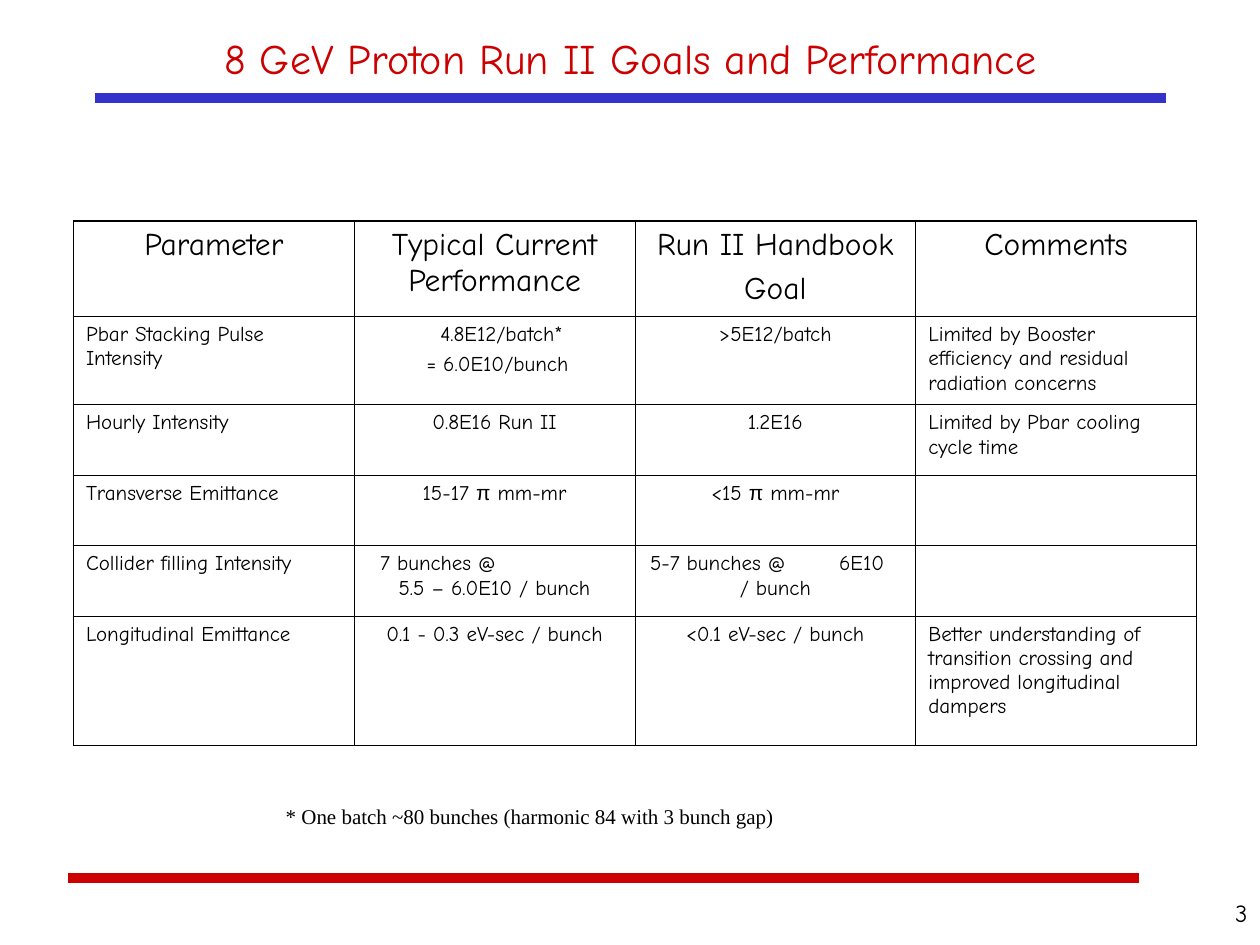
from dataclasses import dataclass

from lxml.etree import SubElement
from pptx import Presentation
from pptx.dml.color import RGBColor
from pptx.enum.shapes import MSO_CONNECTOR
from pptx.enum.text import MSO_ANCHOR, MSO_AUTO_SIZE, PP_ALIGN
from pptx.oxml.ns import qn
from pptx.util import Cm, Pt


@dataclass(frozen=True)
class Theme:
    red: str = "CC0000"
    blue: str = "3333CC"
    black: str = "000000"
    font: str = "Comic Neue"
    symbol_font: str = "Arial"
    note_font: str = "Times New Roman"
    title_size: float = 24
    header_size: float = 18
    body_size: float = 12
    number_size: float = 14
    rule_width: float = 6
    outer_border: float = 1.08
    inner_border: float = 0.45


@dataclass(frozen=True)
class Line:
    text: str
    align: PP_ALIGN = None
    indent: float = 0
    tab: float = 0
    before: float = None


THEME = Theme()
LEFT, CENTER, RIGHT = PP_ALIGN.LEFT, PP_ALIGN.CENTER, PP_ALIGN.RIGHT

TITLE = "8 GeV Proton Run II Goals and Performance"
NOTE = "* One batch ~80 bunches (harmonic 84 with 3 bunch gap)"
NUMBER = "3"
ROWS = [
    ["Parameter", "Typical Current Performance",
     ["Run II Handbook", "Goal"], "Comments"],
    ["Pbar Stacking Pulse Intensity",
     [Line("4.8E12/batch*", indent=0.28), Line("= 6.0E10/bunch", indent=0.12)],
     ">5E12/batch",
     "Limited by Booster efficiency and residual radiation concerns"],
    ["Hourly Intensity", "0.8E16 Run II", "1.2E16",
     "Limited by Pbar cooling cycle time"],
    ["Transverse Emittance", "15-17 π mm-mr", "<15 π mm-mr", ""],
    ["Collider filling Intensity",
     [Line("7 bunches @", align=LEFT, indent=0.27),
      Line("5.5 – 6.0E10 / bunch", before=0)],
     [Line("5-7 bunches @\t6E10", align=LEFT, indent=0.05, tab=4.18),
      Line("/ bunch", before=0)], ""],
    ["Longitudinal Emittance", "0.1 - 0.3 eV-sec / bunch",
     "<0.1 eV-sec / bunch",
     "Better understanding of transition crossing and improved "
     "longitudinal dampers"],
]
ROW_HEIGHTS = [1.93, 1.78, 1.42, 1.42, 1.42, 2.61]
COLUMN_WIDTH = 5.66
COLUMN_ALIGNS = [LEFT, CENTER, CENTER, LEFT]
TABLE_LEFT, TABLE_TOP = 1.48, 4.45
RULES = [(1.91, 1.98, THEME.blue), (1.37, 17.7, THEME.red)]
RULE_LENGTH = 21.59


def write(text_frame, text, *, size, font=THEME.font, color=THEME.black,
          align=LEFT, before=0):
    text_frame.word_wrap = True
    lines = text if isinstance(text, list) else [text]
    for index, item in enumerate(lines):
        line = item if isinstance(item, Line) else Line(item)
        paragraph = text_frame.add_paragraph() if index else text_frame.paragraphs[0]
        paragraph.alignment = line.align or align
        if index:
            paragraph.space_before = Pt(before if line.before is None else line.before)
        properties = paragraph._p.get_or_add_pPr()
        if line.indent:
            properties.set("marL", str(Cm(line.indent)))
            properties.set("indent", "0")
        if line.tab:
            tabs = SubElement(properties, qn("a:tabLst"))
            SubElement(tabs, qn("a:tab"), pos=str(Cm(line.tab)), algn="l")
        head, symbol, tail = line.text.partition("π")
        for part, face in ((head, font), (symbol, THEME.symbol_font), (tail, font)):
            if part:
                run = paragraph.add_run()
                run.text = part
                run.font.size = Pt(size)
                run.font.name = face
                run.font.color.rgb = RGBColor.from_string(color)


def add_rule(slide, left, top, color):
    rule = slide.shapes.add_connector(
        MSO_CONNECTOR.STRAIGHT, Cm(left), Cm(top), Cm(left + RULE_LENGTH), Cm(top))
    rule.line.color.rgb = RGBColor.from_string(color)
    rule.line.width = Pt(THEME.rule_width)
    SubElement(rule._element.spPr, qn("a:effectLst"))


def add_title(slide):
    title = slide.shapes.title
    title.left, title.top, title.width, title.height = Cm(1.91), Cm(0.43), Cm(21.59), Cm(1.47)
    title.text_frame.auto_size = MSO_AUTO_SIZE.NONE
    title.text_frame.vertical_anchor = MSO_ANCHOR.MIDDLE
    write(title.text_frame, TITLE, size=THEME.title_size, color=THEME.red, align=CENTER)


def add_text(slide, text, left, top, width, height, **text_format):
    box = slide.shapes.add_textbox(Cm(left), Cm(top), Cm(width), Cm(height))
    write(box.text_frame, text, **text_format)


def set_borders(cell, outer_sides):
    properties = cell._tc.get_or_add_tcPr()
    for side in "LRTB":
        width = THEME.outer_border if side in outer_sides else THEME.inner_border
        border = SubElement(properties, qn(f"a:ln{side}"), w=str(Pt(width)))
        fill = SubElement(border, qn("a:solidFill"))
        SubElement(fill, qn("a:srgbClr"), val=THEME.black)


def add_goals_table(slide):
    row_count, column_count = len(ROWS), len(COLUMN_ALIGNS)
    table = slide.shapes.add_table(
        row_count, column_count, Cm(TABLE_LEFT), Cm(TABLE_TOP),
        Cm(COLUMN_WIDTH * column_count), Cm(sum(ROW_HEIGHTS))).table
    table.first_row = table.horz_banding = False
    for column in table.columns:
        column.width = Cm(COLUMN_WIDTH)
    for row_index, (texts, height) in enumerate(zip(ROWS, ROW_HEIGHTS)):
        table.rows[row_index].height = Cm(height)
        is_header = row_index == 0
        size = THEME.header_size if is_header else THEME.body_size
        for column_index, text in enumerate(texts):
            cell = table.cell(row_index, column_index)
            edges = {"L": column_index == 0, "R": column_index == column_count - 1,
                     "T": is_header, "B": row_index == row_count - 1}
            set_borders(cell, [side for side, outer in edges.items() if outer])
            cell.fill.background()
            write(cell.text_frame, text, size=size, before=size / 4,
                  align=CENTER if is_header else COLUMN_ALIGNS[column_index])


def main():
    presentation = Presentation()
    presentation.slide_width, presentation.slide_height = Cm(25.4), Cm(19.05)
    slide = presentation.slides.add_slide(presentation.slide_layouts.get_by_name("Title Only"))
    for left, top, color in RULES:
        add_rule(slide, left, top, color)
    add_title(slide)
    add_goals_table(slide)
    add_text(slide, NOTE, 5.51, 16.08, 11.79, 0.76,
             size=THEME.body_size, font=THEME.note_font)
    add_text(slide, NUMBER, 23.06, 17.98, 2.34, 1.07,
             size=THEME.number_size, align=RIGHT)
    presentation.save("out.pptx")


if __name__ == "__main__":
    main()
